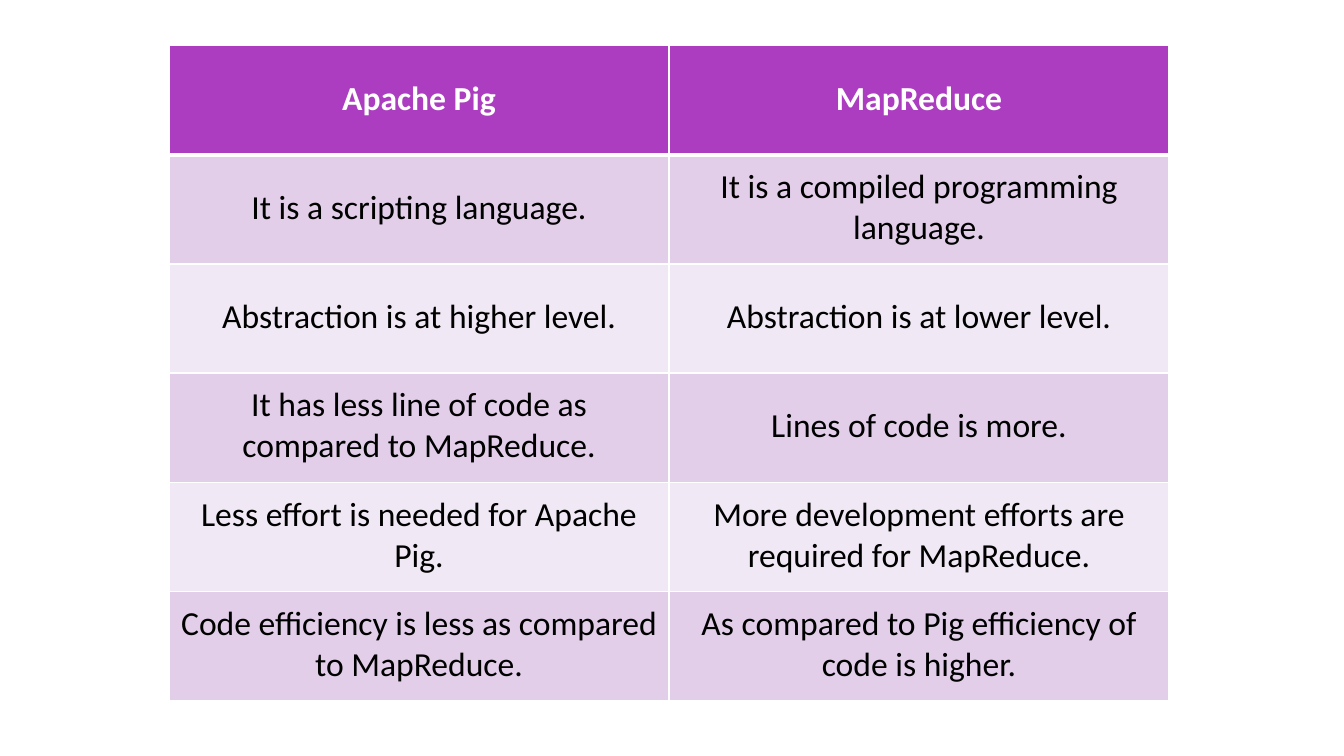
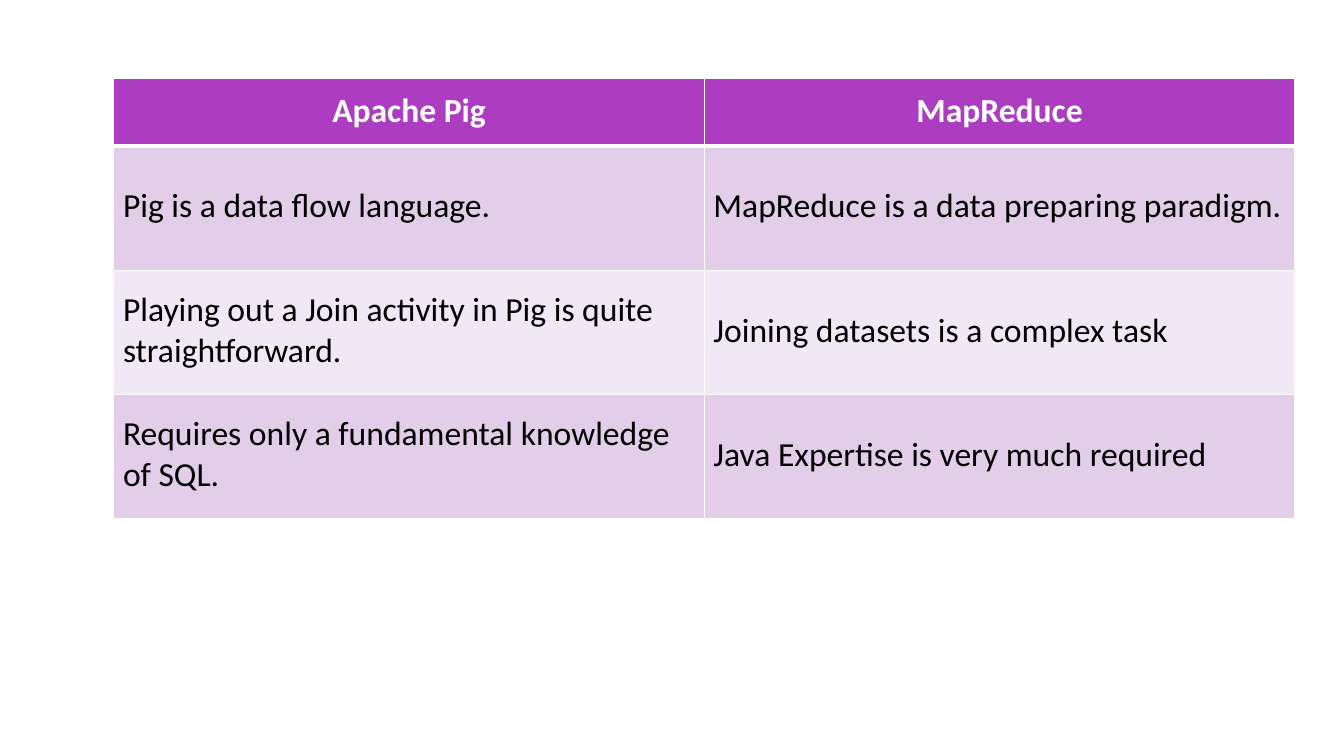
from dataclasses import dataclass

from lxml.etree import SubElement
from pptx import Presentation
from pptx.dml.color import RGBColor
from pptx.enum.text import MSO_ANCHOR, PP_ALIGN
from pptx.oxml.ns import qn
from pptx.util import Cm, Pt

COLORS = {
    "header": "AC3DC1",
    "odd_row": "E2CEE9",
    "even_row": "F0E8F4",
    "border": "FFFFFF",
    "header_text": "FFFFFF",
    "body_text": "000000",
}
HEADER = ("Apache Pig", "MapReduce")
CELL_FORMAT = {
    "margin_left": Cm(0.23),
    "margin_right": Cm(0.23),
    "margin_top": Cm(0),
    "margin_bottom": Cm(0.08),
    "vertical_anchor": MSO_ANCHOR.MIDDLE,
}
FONT_FORMAT = {"name": "Calibri", "size": Pt(24)}
THIN, THICK = Pt(1), Pt(3)


@dataclass(frozen=True)
class Comparison:
    left: float
    top: float
    column_width: float
    header_height: float
    row_height: float
    body_align: PP_ALIGN
    rows: tuple[tuple[str, str], ...]


COMPARISONS = (
    Comparison(4.26, 1.15, 12.6, 2.75, 2.75, PP_ALIGN.CENTER, (
        ("It is a scripting language.", "It is a compiled programming language."),
        ("Abstraction is at higher level.", "Abstraction is at lower level."),
        ("It has less line of code as\vcompared to MapReduce.", "Lines of code is more."),
        ("Less effort is needed for Apache Pig.",
         "More development efforts are required for MapReduce."),
        ("Code efficiency is less as compared to MapReduce.",
         "As compared to Pig efficiency of code is higher."),
    )),
    Comparison(2.87, 1.98, 14.88, 1.7, 3.13, PP_ALIGN.LEFT, (
        ("Pig is a data flow language.", "MapReduce is a data preparing paradigm."),
        ("Playing out a Join activity in Pig is quite straightforward.",
         "Joining datasets is a complex task"),
        ("Requires only a fundamental knowledge of SQL.",
         "Java Expertise is very much required"),
    )),
)


def apply_format(target: object, values: dict) -> None:
    for name, value in values.items():
        setattr(target, name, value)


def add_borders(cell, row: int) -> None:
    widths = {
        "a:lnL": THIN,
        "a:lnR": THIN,
        "a:lnT": THICK if row == 1 else THIN,
        "a:lnB": THICK if row == 0 else THIN,
    }
    tc_pr = cell._tc.get_or_add_tcPr()
    for tag, width in widths.items():
        ln = SubElement(tc_pr, qn(tag), w=str(width))
        fill = SubElement(ln, qn("a:solidFill"))
        SubElement(fill, qn("a:srgbClr"), val=COLORS["border"])


def fill_cell(cell, text: str, row: int, body_align: PP_ALIGN) -> None:
    is_header = row == 0
    apply_format(cell, CELL_FORMAT)
    add_borders(cell, row)
    fill_name = "header" if is_header else "odd_row" if row % 2 else "even_row"
    cell.fill.solid()
    cell.fill.fore_color.rgb = RGBColor.from_string(COLORS[fill_name])
    p = cell.text_frame.paragraphs[0]
    p.text = text
    p.alignment = PP_ALIGN.CENTER if is_header else body_align
    text_name = "header_text" if is_header else "body_text"
    for r in p.runs:
        apply_format(r.font, FONT_FORMAT | {"bold": is_header})
        r.font.color.rgb = RGBColor.from_string(COLORS[text_name])


def add_comparison(prs, comparison: Comparison) -> None:
    s = prs.slides.add_slide(prs.slide_layouts[6])
    rows = (HEADER, *comparison.rows)
    heights = [comparison.header_height] + [comparison.row_height] * len(comparison.rows)
    table = s.shapes.add_table(
        len(rows), len(HEADER), Cm(comparison.left), Cm(comparison.top),
        Cm(comparison.column_width * len(HEADER)), Cm(sum(heights)),
    ).table
    table.horz_banding = False
    for column in table.columns:
        column.width = Cm(comparison.column_width)
    for i, (texts, height) in enumerate(zip(rows, heights)):
        table.rows[i].height = Cm(height)
        for j, text in enumerate(texts):
            fill_cell(table.cell(i, j), text, i, comparison.body_align)


def main() -> None:
    prs = Presentation()
    prs.slide_width, prs.slide_height = Cm(33.87), Cm(19.05)
    for comparison in COMPARISONS:
        add_comparison(prs, comparison)
    prs.save("out.pptx")


if __name__ == "__main__":
    main()
